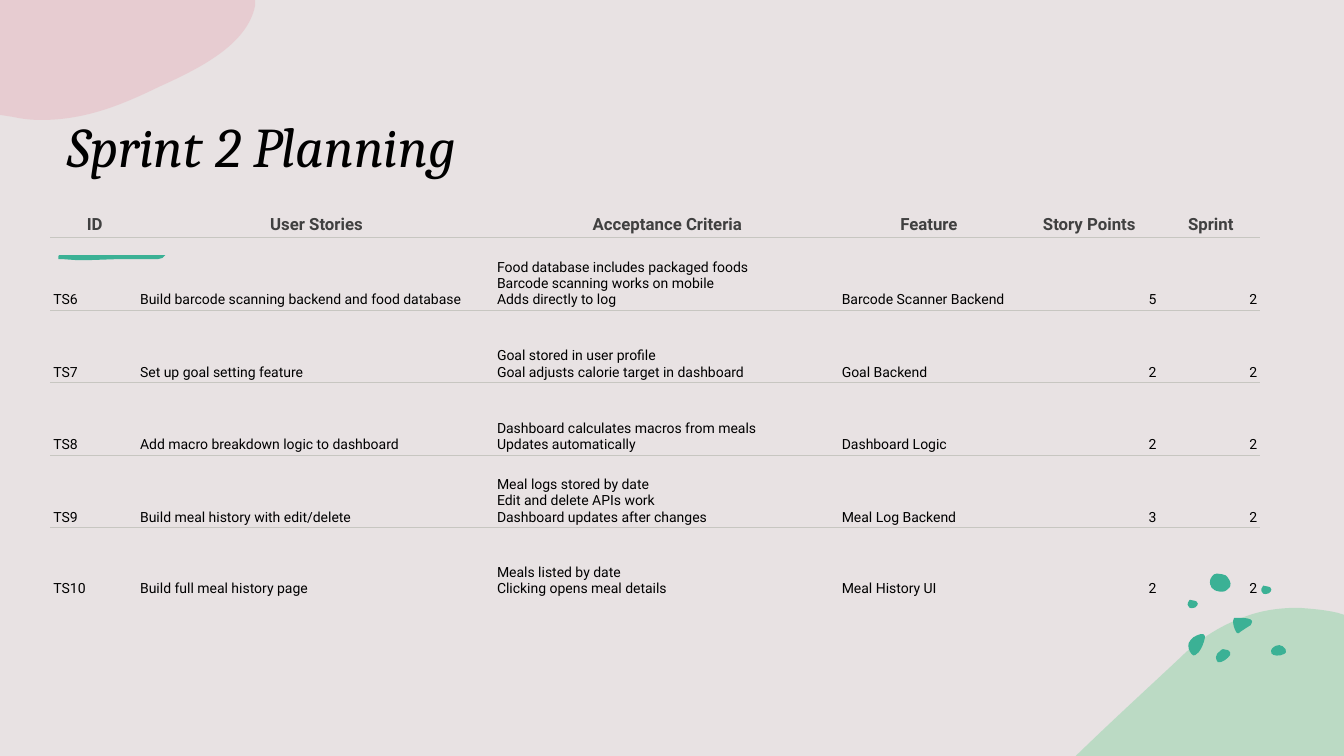
import copy

import lxml.etree
import pptx
import pptx.dml.color
import pptx.enum.text
import pptx.oxml.ns
import pptx.util

PX = 9144  # EMU; 100 px to the inch
TEAL, GREEN, PINK = "3BB195", "90D3A7", "E7B8C0"
BACKGROUND, RULE, HEADING, BLACK = "E8E2E3", "C7C6C1", "404040", "000000"
ALIGN = pptx.enum.text.PP_ALIGN
ANCHOR = pptx.enum.text.MSO_ANCHOR
qn = pptx.oxml.ns.qn


def paint(fill, color, opacity=100):
    fill.solid()
    fill.fore_color.rgb = pptx.dml.color.RGBColor.from_string(color)
    if opacity < 100:
        element = fill._xPr.find(".//" + qn("a:srgbClr"))
        lxml.etree.SubElement(element, qn("a:alpha"), val=str(opacity * 1000))


def write(frame, text, font="Roboto", size=10, color=BLACK, bold=False, italic=False,
          align=ALIGN.LEFT):
    """Fill the frame with one paragraph; a newline becomes a line break."""
    paragraph = frame.paragraphs[0]
    paragraph.text = text.replace("\n", "\v")
    paragraph.alignment = align
    for run in paragraph.runs:
        run.font.name, run.font.size = font, pptx.util.Pt(size)
        run.font.bold, run.font.italic = bold, italic
        paint(run.font.fill, color)
    for line_break in paragraph._p.findall(qn("a:br")):
        line_break.append(copy.deepcopy(paragraph.runs[0]._r.rPr))


presentation = pptx.Presentation()
presentation.slide_width, presentation.slide_height = 1333 * PX, 750 * PX
slide = presentation.slides.add_slide(presentation.slide_layouts[5])
paint(slide.background.fill, BACKGROUND)

# Outlines: a start point, then lines (x, y) and cubic curves (x1, y1, x2, y2, x, y)
hill = [(1288, 603), (1301, 604, 1314, 605, 1327, 608), (1333, 610), (1333, 750), (1067, 750),
        (1068, 749), (1102, 716, 1137, 684, 1169, 654), (1191, 632, 1214, 619, 1237, 611),
        (1254, 605, 1271, 603, 1288, 603)]
corner = [(0, 0), (253, 0), (253, 6), (245, 44, 200, 67, 158, 86), (123, 103, 86, 119, 41, 119),
          (31, 119, 22, 118, 13, 116), (0, 114)]
underline = [(58, 257), (58, 254), (59, 253), (164, 253), (161, 256), (157, 257), (119, 257),
             (90, 258), (75, 258), (61, 257)]
speck = [(1251, 586), (1251, 586, 1251, 582, 1253, 581), (1255, 581, 1256, 581, 1258, 582),
         (1259, 582, 1261, 583, 1261, 585), (1261, 586, 1260, 588, 1259, 588),
         (1259, 588, 1259, 589, 1257, 589), (1256, 589, 1254, 590, 1253, 589),
         (1252, 587, 1251, 587, 1251, 586)]
dots = [
    [(1213, 644), (1215, 644, 1216, 644, 1218, 645), (1220, 646, 1221, 648, 1220, 650),
     (1218, 653, 1212, 658, 1208, 657), (1207, 656, 1206, 654, 1206, 652),
     (1206, 650, 1208, 647, 1210, 646), (1211, 645, 1212, 644, 1213, 644)],
    [(1191, 629), (1193, 629, 1195, 629, 1195, 631), (1195, 632, 1195, 632, 1195, 633),
     (1194, 638, 1192, 643, 1189, 647), (1187, 649, 1184, 652, 1182, 649),
     (1179, 646, 1178, 641, 1179, 638), (1180, 635, 1182, 634, 1184, 632),
     (1185, 632, 1188, 629, 1191, 629)],
    [(1269, 640), (1271, 640, 1274, 642, 1275, 644), (1276, 646, 1276, 648, 1273, 649),
     (1270, 651, 1262, 651, 1261, 648), (1260, 646, 1261, 644, 1262, 643),
     (1264, 641, 1266, 640, 1269, 640)],
    [(1201, 581), (1200, 581, 1199, 575, 1202, 572), (1204, 570, 1204, 569, 1207, 569),
     (1210, 569, 1214, 570, 1216, 571), (1218, 573, 1222, 578, 1220, 582),
     (1217, 585, 1216, 587, 1212, 587), (1209, 587, 1204, 586, 1203, 584),
     (1201, 583, 1201, 582, 1201, 581)],
    [(1228, 613), (1234, 613, 1245, 613, 1241, 619), (1241, 620, 1240, 621, 1239, 621),
     (1236, 623, 1233, 625, 1230, 627), (1229, 628, 1228, 629, 1227, 628),
     (1227, 628, 1226, 627, 1226, 627), (1224, 623, 1223, 620, 1223, 616),
     (1223, 615, 1223, 614, 1224, 613)],
]
decorations = [(hill, GREEN, 50, 0, 0), (corner, PINK, 50, 0, 0), (underline, TEAL, 100, 0, 0),
               (speck, TEAL, 100, 0, 0), (speck, TEAL, 100, -73, 14)]
decorations += [(dot, TEAL, 100, 0, 0) for dot in dots]

for outline, color, opacity, shift_x, shift_y in decorations:
    ends = [((segment[-2] + shift_x) * PX, (segment[-1] + shift_y) * PX) for segment in outline]
    builder = slide.shapes.build_freeform(*ends[0], scale=1.0)
    builder.add_line_segments(ends[1:], close=True)
    shape = builder.convert_to_shape()
    lines = list(shape._element.iter(qn("a:lnTo")))
    for line, segment in zip(lines, outline[1:]):
        if len(segment) == 6:
            curve = lxml.etree.Element(qn("a:cubicBezTo"))
            for x, y in zip(segment[::2], segment[1::2]):
                lxml.etree.SubElement(curve, qn("a:pt"), x=str((x + shift_x) * PX - shape.left),
                                      y=str((y + shift_y) * PX - shape.top))
            line.getparent().replace(line, curve)
    shape.shadow.inherit = False
    paint(shape.fill, color, opacity)
    shape.line.fill.background()

title = slide.shapes.title
title.left, title.top, title.width, title.height = 57 * PX, 106 * PX, 610 * PX, 173 * PX
title.text_frame.auto_size = pptx.enum.text.MSO_AUTO_SIZE.NONE
title.text_frame.vertical_anchor = ANCHOR.TOP
write(title.text_frame, "Sprint 2 Planning", font="Cambria", size=40, italic=True)

stories = [
    ("ID", "User Stories", "Acceptance Criteria", "Feature", "Story Points", "Sprint"),
    ("TS6", "Build barcode scanning backend and food database",
     "Food database includes packaged foods\nBarcode scanning works on mobile\nAdds directly to log",
     "Barcode Scanner Backend", "5", "2"),
    ("TS7", "Set up goal setting feature",
     "Goal stored in user profile\nGoal adjusts calorie target in dashboard",
     "Goal Backend", "2", "2"),
    ("TS8", "Add macro breakdown logic to dashboard",
     "Dashboard calculates macros from meals\nUpdates automatically",
     "Dashboard Logic", "2", "2"),
    ("TS9", "Build meal history with edit/delete",
     "Meal logs stored by date\nEdit and delete APIs work\nDashboard updates after changes",
     "Meal Log Backend", "3", "2"),
    ("TS10", "Build full meal history page",
     "Meals listed by date\nClicking opens meal details",
     "Meal History UI", "2", "2"),
]
column_widths = [86, 354, 342, 177, 141, 100]
row_heights = [24, 72, 72, 72, 72, 71]
frame = slide.shapes.add_table(len(stories), len(column_widths), 50 * PX, 210 * PX,
                               sum(column_widths) * PX, sum(row_heights) * PX)
table = frame.table
table.first_row = table.horz_banding = False
table._tbl.tblPr.find(qn("a:tableStyleId")).text = "{2D5ABB26-0587-4C30-8999-92F81FD0307C}"
for column, width in zip(table.columns, column_widths):
    column.width = width * PX

for row_index, story in enumerate(stories):
    table.rows[row_index].height = row_heights[row_index] * PX
    for column_index, text in enumerate(story):
        cell = table.cell(row_index, column_index)
        cell.vertical_anchor = ANCHOR.BOTTOM
        is_header = row_index == 0
        left, right, edge = (7, 5, 3) if is_header else (3, 3, 2)
        cell.margin_left, cell.margin_right = left * PX, right * PX
        cell.margin_top = cell.margin_bottom = edge * PX
        if is_header:
            write(cell.text_frame, text, size=12, color=HEADING, bold=True, align=ALIGN.CENTER)
        else:
            write(cell.text_frame, text, align=ALIGN.RIGHT if column_index > 3 else ALIGN.LEFT)
        if row_index < len(stories) - 1:
            border = lxml.etree.SubElement(cell._tc.get_or_add_tcPr(), qn("a:lnB"),
                                           w=str(pptx.util.Pt(0.75)))
            border_fill = lxml.etree.SubElement(border, qn("a:solidFill"))
            lxml.etree.SubElement(border_fill, qn("a:srgbClr"), val=RULE)
        cell.fill.background()

presentation.save("out.pptx")
